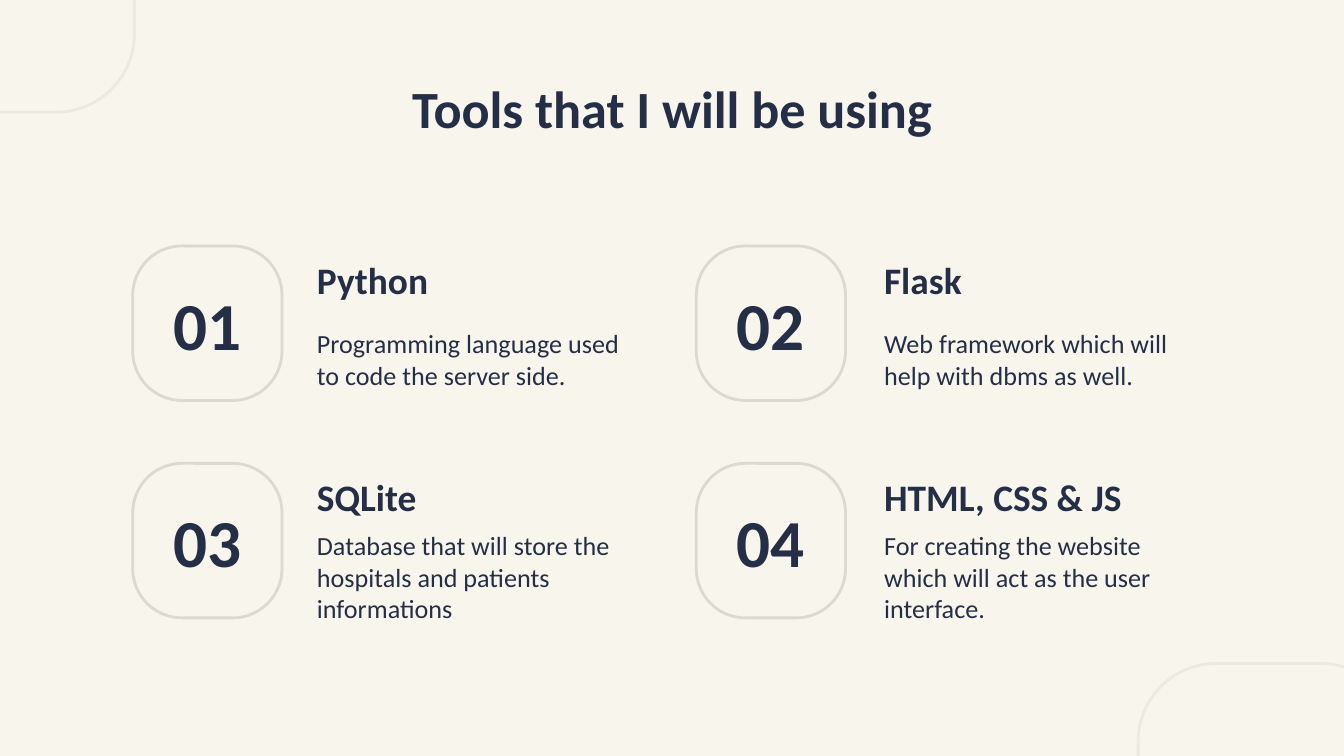
from dataclasses import dataclass

from pptx import Presentation
from pptx.dml.color import RGBColor
from pptx.enum.shapes import MSO_SHAPE
from pptx.enum.text import MSO_ANCHOR, PP_ALIGN
from pptx.util import Cm, Pt

ROUNDED = MSO_SHAPE.ROUNDED_RECTANGLE
MIDDLE = MSO_ANCHOR.MIDDLE
LEFT, CENTER = PP_ALIGN.LEFT, PP_ALIGN.CENTER


@dataclass(frozen=True)
class Theme:
    """Colours, font and type sizes of the slide."""
    background: str = "F8F5EC"
    ink: str = "252E47"
    tile_line: str = "DADACE"
    corner_line: str = "ECE9E1"
    font: str = "Calibri"
    title: int = 28
    number: int = 36
    heading: int = 20
    body: int = 14
    line: float = 1.5


THEME = Theme()
SLIDE_WIDTH, SLIDE_HEIGHT = 25.4, 14.29
CORNERS = ((-2.39, -3.76), (21.51, 12.54))
CORNER_SIZE = (4.93, 5.88)
TILE_SIZE = (2.82, 2.92)
COLUMNS = ((2.51, 3.23), (13.16, 3.3))
ROWS = (4.65, 8.76)
TEXT_WIDTH = 6.4
TOOLS = (
    ("Python", "Programming language used to code the server side."),
    ("Flask", "Web framework which will help with dbms as well."),
    ("SQLite", "Database that will store the hospitals and patients informations"),
    ("HTML, CSS & JS",
     "For creating the website which will act as the user interface."),
)


def add_text(slide, box, text, size, bold=False, align=LEFT):
    """Write one middle-anchored paragraph in a box given in centimetres."""
    frame = slide.shapes.add_textbox(*map(Cm, box)).text_frame
    frame.word_wrap = True
    frame.vertical_anchor = MIDDLE
    frame.margin_left = frame.margin_right = Cm(0.25)
    frame.margin_top = frame.margin_bottom = Cm(0.25)
    paragraph = frame.paragraphs[0]
    paragraph.alignment = align
    run = paragraph.add_run()
    run.text = text
    run.font.name = THEME.font
    run.font.size = Pt(size)
    run.font.bold = bold
    run.font.color.rgb = RGBColor.from_string(THEME.ink)


def add_outline(slide, box, color, rounding):
    """Draw an unfilled rounded rectangle in a box given in centimetres."""
    outline = slide.shapes.add_shape(ROUNDED, *map(Cm, box))
    outline.adjustments[0] = rounding
    outline.shadow.inherit = False
    outline.fill.background()
    outline.line.color.rgb = RGBColor.from_string(color)
    outline.line.width = Pt(THEME.line)


def add_corners(slide):
    """Place the pale outlines that run off two opposite corners."""
    for corner in CORNERS:
        add_outline(slide, (*corner, *CORNER_SIZE), THEME.corner_line, 0.3)


def add_tool(slide, box, text_offset, number, name, purpose):
    """Place a numbered tile with the tool's name and purpose beside it."""
    left, top, width, height = box
    text_left = left + text_offset
    add_outline(slide, box, THEME.tile_line, 0.33)
    add_text(slide, (left - 0.05, top, width + 0.1, height), f"{number:02}",
             THEME.number, bold=True, align=CENTER)
    add_text(slide, (text_left, top - 0.1, TEXT_WIDTH, height / 2), name,
             THEME.heading, bold=True)
    add_text(slide, (text_left, top + 1.41, TEXT_WIDTH, height / 2), purpose,
             THEME.body)


def add_tool_grid(slide):
    """Lay the tools out row by row on the grid."""
    for index, (name, purpose) in enumerate(TOOLS):
        row, column = divmod(index, len(COLUMNS))
        left, text_offset = COLUMNS[column]
        add_tool(slide, (left, ROWS[row], *TILE_SIZE), text_offset,
                 index + 1, name, purpose)


def main():
    """Build the slide and save it."""
    deck = Presentation()
    deck.slide_width, deck.slide_height = Cm(SLIDE_WIDTH), Cm(SLIDE_HEIGHT)
    slide = deck.slides.add_slide(deck.slide_layouts[6])
    background = slide.background.fill
    background.solid()
    background.fore_color.rgb = RGBColor.from_string(THEME.background)
    add_corners(slide)
    add_text(slide, (2, 1.24, SLIDE_WIDTH - 4, 1.6),
             "Tools that I will be using", THEME.title, bold=True, align=CENTER)
    add_tool_grid(slide)
    deck.save("out.pptx")


if __name__ == "__main__":
    main()
